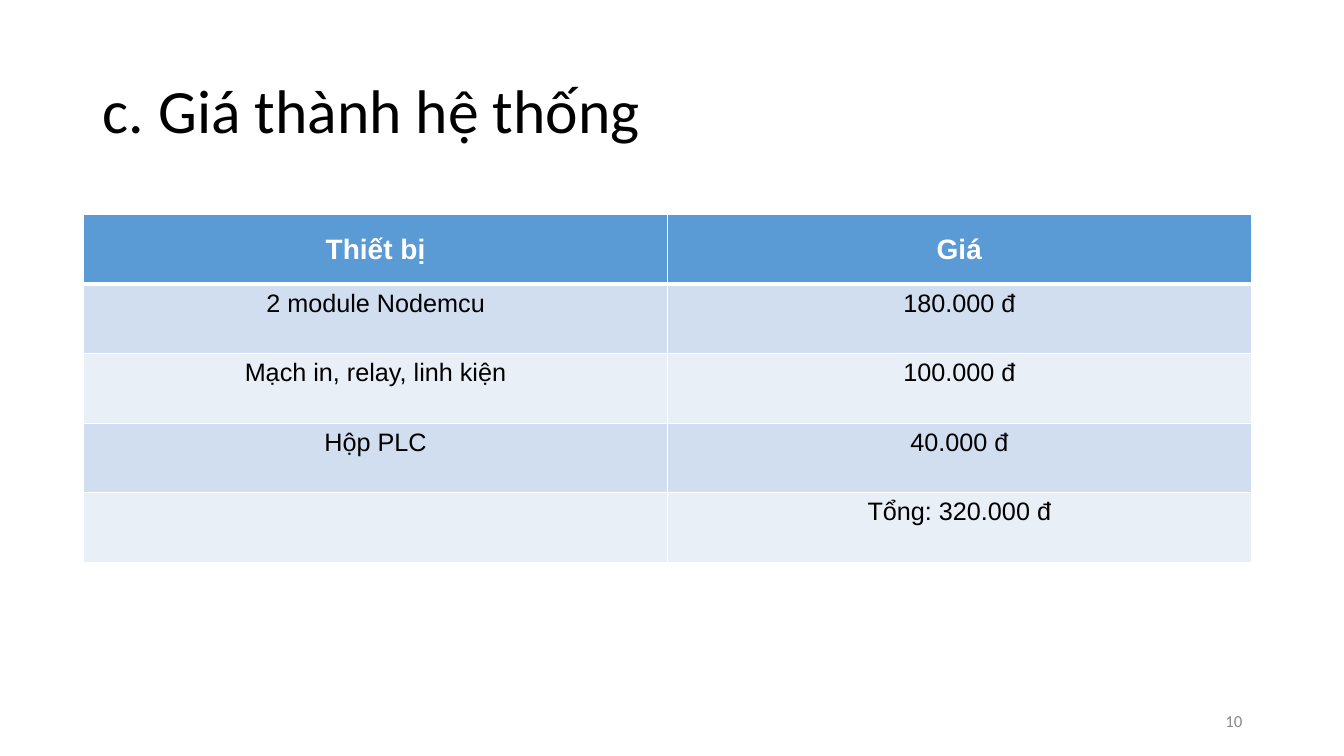
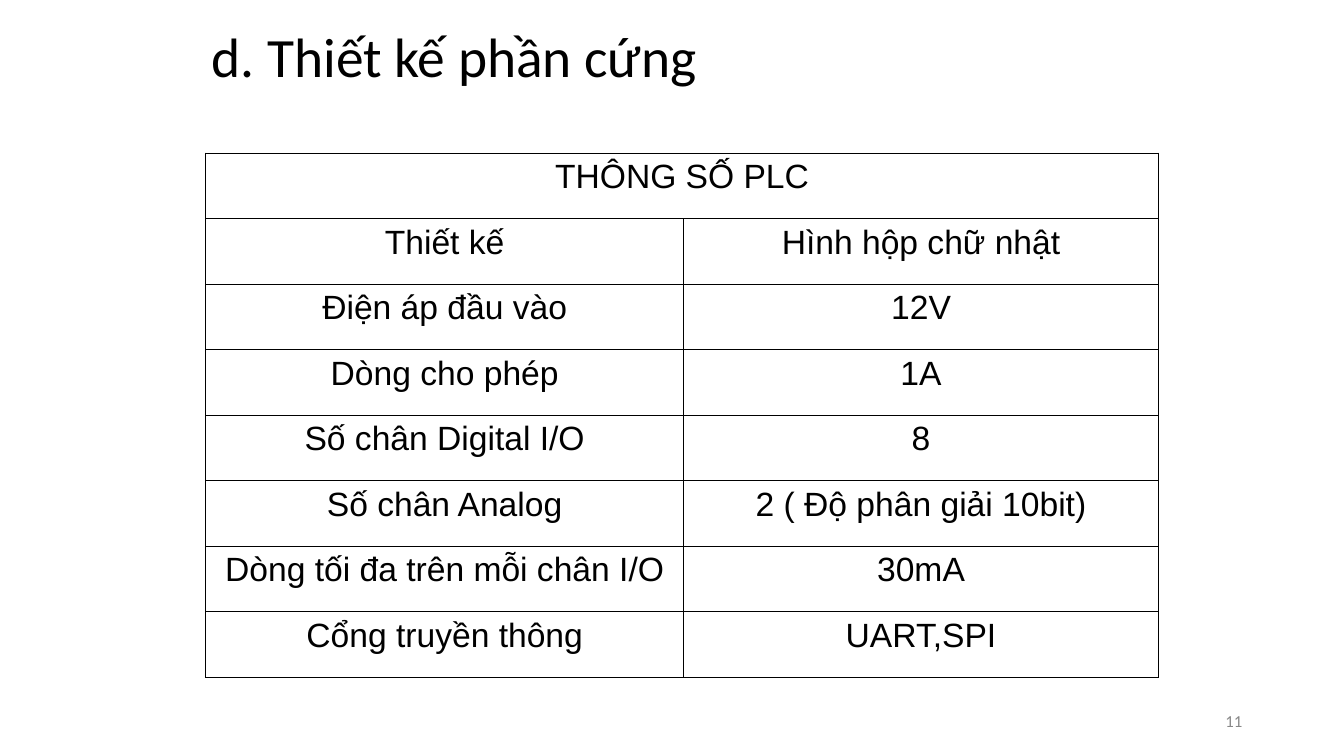
from pptx import Presentation
from pptx.dml.color import RGBColor
from pptx.enum.text import MSO_ANCHOR as Anchor, MSO_AUTO_SIZE as Fit, PP_ALIGN as Align
from pptx.oxml import parse_xml
from pptx.oxml.ns import nsdecls
from pptx.util import Emu, Pt

# Shared look: 100 px to the inch
SCALE = 9144
BLACK, WHITE, GREY = "000000", "FFFFFF", "888888"
BLUE, BANDS = "5B9BD5", ("D0DEEF", "E9EFF7")
HEAD, BODY = "Calibri", "Arial"

PRICES = [
    ("Thiết bị", "Giá"),
    ("2 module Nodemcu", "180.000 đ"),
    ("Mạch in, relay, linh kiện", "100.000 đ"),
    ("Hộp PLC", "40.000 đ"),
    ("", "Tổng: 320.000 đ"),
]
SPECS = [
    ("THÔNG SỐ PLC", ""),
    ("Thiết kế", "Hình hộp chữ nhật"),
    ("Điện áp đầu vào", "12V"),
    ("Dòng cho phép", "1A"),
    ("Số chân Digital I/O", "8"),
    ("Số chân Analog", "2 ( Độ phân giải 10bit)"),
    ("Dòng tối đa trên mỗi chân I/O", "30mA"),
    ("Cổng truyền thông", "UART,SPI"),
]


def px(n):
    return Emu(n * SCALE)


def color(code):
    return RGBColor.from_string(code)


def write(frame, text, size, font=BODY, ink=BLACK, bold=False,
          align=Align.CENTER, line=None):
    para = frame.paragraphs[0]
    para.alignment = align
    if line:
        para.line_spacing = line
    run = para.add_run()
    run.text = text
    run.font.name, run.font.size, run.font.bold = font, Pt(size), bold
    run.font.color.rgb = color(ink)


def add_page(prs, title, box, size, number):
    """Add a slide with its title and page number."""
    slide = prs.slides.add_slide(prs.slide_layouts[5])
    head = slide.shapes.title
    head.left, head.top, head.width, head.height = map(px, box)
    frame = head.text_frame
    frame.auto_size, frame.vertical_anchor = Fit.NONE, Anchor.MIDDLE
    write(frame, title, size, font=HEAD, align=Align.LEFT, line=0.9)

    foot = slide.shapes.add_textbox(*map(px, (942, 695, 300, 40))).text_frame
    foot.word_wrap, foot.vertical_anchor = True, Anchor.MIDDLE
    write(foot, str(number), 12, font=HEAD, ink=GREY, align=Align.RIGHT)
    return slide


def add_grid(slide, rows, left, top, cols, high):
    """Add a table with equal rows, without the default style's bands."""
    shape = slide.shapes.add_table(len(rows), len(cols), px(left), px(top),
                                   px(sum(cols)), px(high * len(rows)))
    table = shape.table
    table.first_row = table.horz_banding = False
    for col, width in zip(table.columns, cols):
        col.width = px(width)
    return table


def edge(cell, ink, **widths):
    """Draw all four borders, 1 pt unless a side is given a width."""
    props = cell._tc.get_or_add_tcPr()
    for i, side in enumerate("LRTB"):
        width = Pt(widths.get(side, 1))
        props.insert(i, parse_xml(
            f'<a:ln{side} {nsdecls("a")} w="{width}"><a:solidFill>'
            f'<a:srgbClr val="{ink}"/></a:solidFill></a:ln{side}>'))


def paint(cell, fill):
    cell.fill.solid()
    cell.fill.fore_color.rgb = color(fill)


def add_prices(slide):
    table = add_grid(slide, PRICES, 83, 213, (579, 579), 69)
    for r, row in enumerate(PRICES):
        for c, text in enumerate(row):
            cell = table.cell(r, c)
            if r == 0:
                cell.vertical_anchor = Anchor.MIDDLE
                write(cell.text_frame, text, 20, ink=WHITE, bold=True)
                paint(cell, BLUE)
                edge(cell, WHITE, B=3)
                continue
            if text:
                write(cell.text_frame, text, 18)
            paint(cell, BANDS[(r - 1) % 2])
            edge(cell, WHITE, T=3 if r == 1 else 1)


def add_specs(slide):
    table = add_grid(slide, SPECS, 204, 152, (474, 471), 65)
    table.cell(0, 0).merge(table.cell(0, 1))
    for r, row in enumerate(SPECS):
        for c, text in enumerate(row):
            cell = table.cell(r, c)
            if text:
                write(cell.text_frame, text, 24)
            paint(cell, WHITE)
            edge(cell, BLACK)


def main():
    prs = Presentation()
    prs.slide_width, prs.slide_height = px(1333), px(750)
    # Cost of the system
    add_prices(add_page(prs, "c. Giá thành hệ thống", (92, 40, 1150, 145), 44, 10))
    # Hardware design
    add_specs(add_page(prs, "d. Thiết kế phần cứng", (200, 23, 933, 73), 39.6, 11))
    prs.save("out.pptx")


if __name__ == "__main__":
    main()
